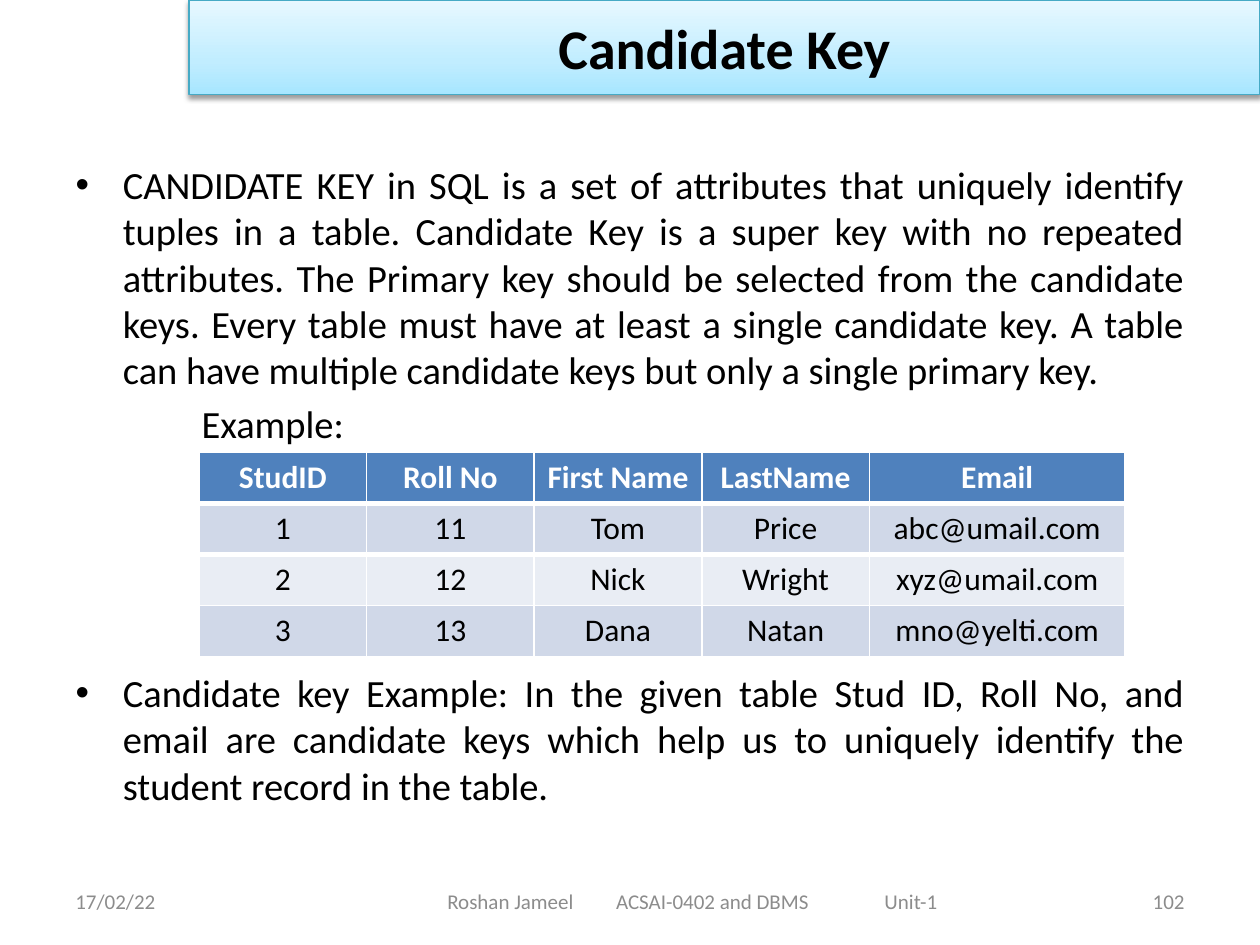
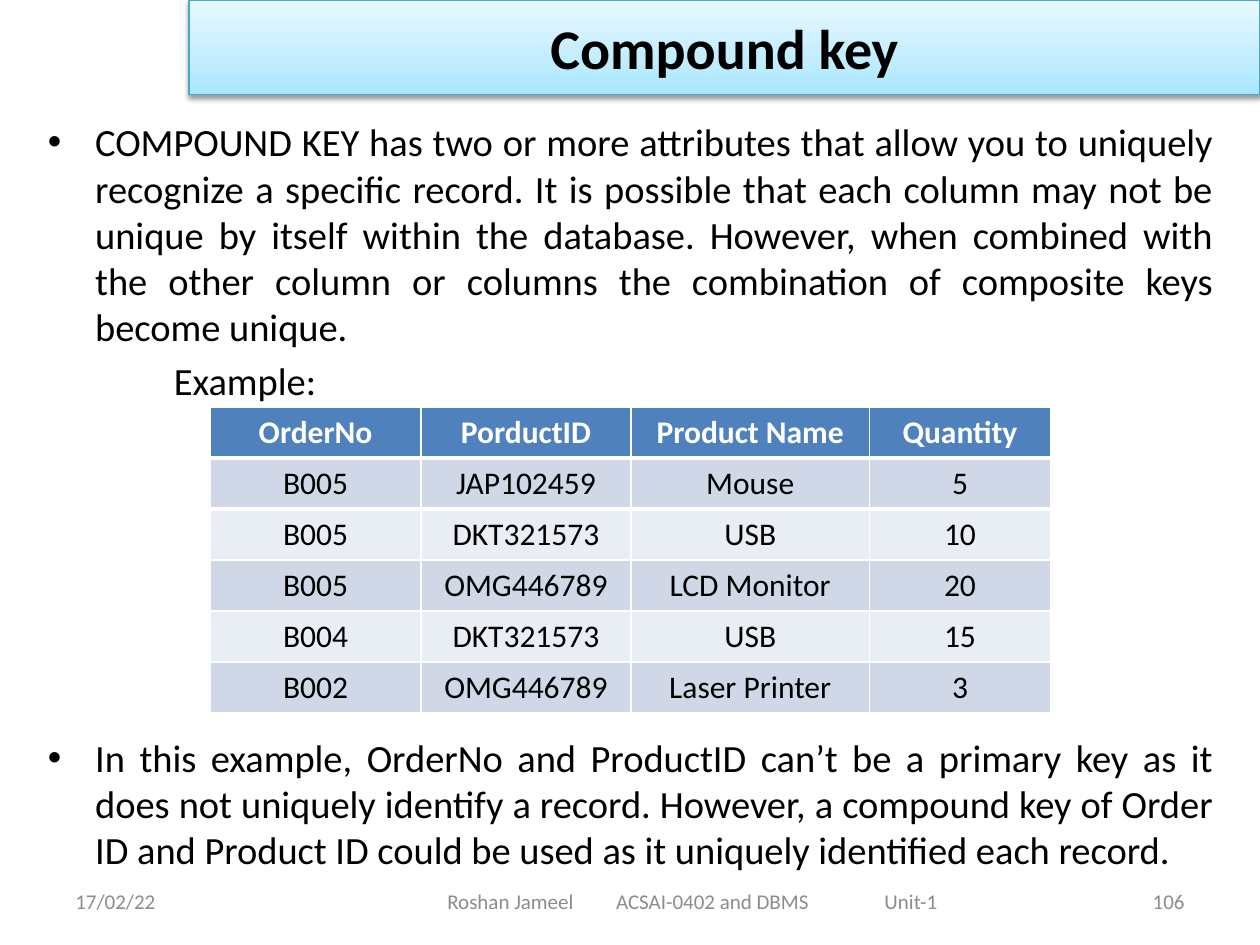
from lxml.etree import SubElement
from pptx import Presentation
from pptx.dml.color import RGBColor
from pptx.enum.text import MSO_ANCHOR, MSO_AUTO_SIZE, PP_ALIGN
from pptx.oxml.ns import qn
from pptx.util import Inches, Pt

FONT = "Calibri"
COLORS = {
    "text": "000000", "footer": "8C8C8C", "band_line": "46AAC5",
    "header": "4F81BD", "header_text": "FFFFFF", "rule": "FFFFFF",
    "odd_row": "D0D8E8", "even_row": "E9EDF4",
}
BAND_GRADIENT = [(0, "A7E6FF"), (35, "C1EDFF"), (100, "E7F8FF")]
BAND_BOX = (1.5, 0, 8.5, 0.75)
ROW_HEIGHT = 0.405
DATE = "17/02/22"
FOOTER_PARTS = ["Roshan Jameel", "ACSAI-0402 and DBMS", "Unit-1"]
FOOTER_TABS = [1.34, 3.47]

KEYS = [
    {
        "title": "Candidate Key",
        "page": "102",
        "body_box": (0.5, 1.23, 9, 5.47),
        "definition": "CANDIDATE KEY in SQL is a set of attributes that uniquely identify tuples in a table. "
                      "Candidate Key is a super key with no repeated attributes. The Primary key should be "
                      "selected from the candidate keys. Every table must have at least a single candidate "
                      "key. A table can have multiple candidate keys but only a single primary key.",
        "explanation": "Candidate key Example: In the given table Stud ID, Roll No, and email are candidate "
                       "keys which help us to uniquely identify the student record in the table.",
        "table_gap": 127.5,
        "table_at": (1.58, 3.59),
        "columns": [1.33, 1.33, 1.33, 1.33, 2.03],
        "rows": [
            ("StudID", "Roll No", "First Name", "LastName", "Email"),
            ("1", "11", "Tom", "Price", "abc@umail.com"),
            ("2", "12", "Nick", "Wright", "xyz@umail.com"),
            ("3", "13", "Dana", "Natan", "mno@yelti.com"),
        ],
    },
    {
        "title": "Compound key",
        "page": "106",
        "body_box": (0.28, 0.89, 9.45, 6.16),
        "definition": "COMPOUND KEY has two or more attributes that allow you to uniquely recognize a "
                      "specific record. It is possible that each column may not be unique by itself within "
                      "the database. However, when combined with the other column or columns the "
                      "combination of composite keys become unique.",
        "explanation": "In this example, OrderNo and ProductID can’t be a primary key as it does not "
                       "uniquely identify a record. However, a compound key of Order ID and Product ID "
                       "could be used as it uniquely identified each record.",
        "table_gap": 189,
        "table_at": (1.67, 3.23),
        "columns": [1.67, 1.67, 1.89, 1.44],
        "rows": [
            ("OrderNo", "PorductID", "Product Name", "Quantity"),
            ("B005", "JAP102459", "Mouse", "5"),
            ("B005", "DKT321573", "USB", "10"),
            ("B005", "OMG446789", "LCD Monitor", "20"),
            ("B004", "DKT321573", "USB", "15"),
            ("B002", "OMG446789", "Laser Printer", "3"),
        ],
    },
]


def rgb(name):
    return RGBColor.from_string(COLORS[name])


def place(shape, box):
    shape.left, shape.top, shape.width, shape.height = map(Inches, box)


def style(paragraph, size, color, align, bold=False):
    paragraph.alignment = align
    font = paragraph.font
    font.name, font.size, font.bold = FONT, Pt(size), bold
    font.color.rgb = rgb(color)


def add_title(slide, text):
    band = slide.shapes.title
    place(band, BAND_BOX)
    band.text_frame.text = text
    band.text_frame.auto_size = MSO_AUTO_SIZE.NONE
    band.text_frame.vertical_anchor = MSO_ANCHOR.MIDDLE
    style(band.text_frame.paragraphs[0], 32, "text", PP_ALIGN.CENTER, True)
    band.fill.gradient()
    band.fill.gradient_angle = 90
    properties = band.element.spPr
    stops = properties.find(".//" + qn("a:gsLst"))
    for stop in list(stops):
        stops.remove(stop)
    for position, color in BAND_GRADIENT:
        stop = SubElement(stops, qn("a:gs"), pos=str(position * 1000))
        SubElement(stop, qn("a:srgbClr"), val=color)
    band.line.color.rgb = rgb("band_line")
    band.line.width = Pt(0.75)
    effects = SubElement(properties, qn("a:effectLst"))
    shadow = SubElement(effects, qn("a:outerShdw"), blurRad=str(Pt(3.1)), dist=str(Pt(1.6)),
                        dir="5400000", rotWithShape="0")
    shade = SubElement(shadow, qn("a:srgbClr"), val="000000")
    SubElement(shade, qn("a:alpha"), val="38000")


def add_body(slide, key):
    body = slide.placeholders[1]
    place(body, key["body_box"])
    frame = body.text_frame
    frame.auto_size = MSO_AUTO_SIZE.NONE
    frame.text = "\n".join([key["definition"], "Example:", key["explanation"]])
    for paragraph in frame.paragraphs:
        style(paragraph, 22, "text", PP_ALIGN.JUSTIFY)
    _, example, explanation = frame.paragraphs
    example_format = example._p.get_or_add_pPr()
    example_format.set("marL", str(Inches(1)))
    example_format.set("indent", "0")
    SubElement(example_format, qn("a:buNone"))
    example_format.append(example_format.find(qn("a:defRPr")))
    explanation.space_before = Pt(key["table_gap"])


def add_header_rule(cell, side):
    cell_format = cell._tc.get_or_add_tcPr()
    rule = SubElement(cell_format, qn(side), w=str(Pt(3)))
    SubElement(SubElement(rule, qn("a:solidFill")), qn("a:srgbClr"), val=COLORS["rule"])
    cell_format.insert(0, rule)


def add_records(slide, key):
    rows, columns = key["rows"], key["columns"]
    left, top = key["table_at"]
    table = slide.shapes.add_table(
        len(rows), len(columns), Inches(left), Inches(top),
        Inches(sum(columns)), Inches(ROW_HEIGHT * len(rows))).table
    for column, width in zip(table.columns, columns):
        column.width = Inches(width)
    for r, record in enumerate(rows):
        is_header = r == 0
        fill = "header" if is_header else "odd_row" if r % 2 else "even_row"
        for c, value in enumerate(record):
            cell = table.cell(r, c)
            cell.text = value
            cell.vertical_anchor = MSO_ANCHOR.MIDDLE
            cell.fill.solid()
            cell.fill.fore_color.rgb = rgb(fill)
            style(cell.text_frame.paragraphs[0], 18, "header_text" if is_header else "text",
                  PP_ALIGN.CENTER, is_header)
    for c in range(len(columns)):
        add_header_rule(table.cell(0, c), "a:lnB")
        add_header_rule(table.cell(1, c), "a:lnT")


def add_footer_text(slide, text, left, width, align):
    frame = slide.shapes.add_textbox(Inches(left), Inches(6.95), Inches(width), Inches(0.4)).text_frame
    frame.word_wrap = True
    frame.vertical_anchor = MSO_ANCHOR.MIDDLE
    frame.text = text
    style(frame.paragraphs[0], 12, "footer", align)
    return frame


def add_footer(slide, page):
    add_footer_text(slide, DATE, 0.5, 2.33, PP_ALIGN.LEFT)
    course = add_footer_text(slide, "\t".join(FOOTER_PARTS), 2.75, 5.5, PP_ALIGN.LEFT)
    course.margin_left = Inches(0.8)
    course_format = course.paragraphs[0]._p.get_or_add_pPr()
    tabs = SubElement(course_format, qn("a:tabLst"))
    for position in FOOTER_TABS:
        SubElement(tabs, qn("a:tab"), pos=str(Inches(position)), algn="l")
    course_format.append(course_format.find(qn("a:defRPr")))
    add_footer_text(slide, page, 7.17, 2.33, PP_ALIGN.RIGHT)


def main():
    deck = Presentation()
    deck.slide_width, deck.slide_height = Inches(10), Inches(7.5)
    for key in KEYS:
        slide = deck.slides.add_slide(deck.slide_layouts[1])
        add_footer(slide, key["page"])
        add_title(slide, key["title"])
        add_body(slide, key)
        add_records(slide, key)
    deck.save("out.pptx")


if __name__ == "__main__":
    main()
